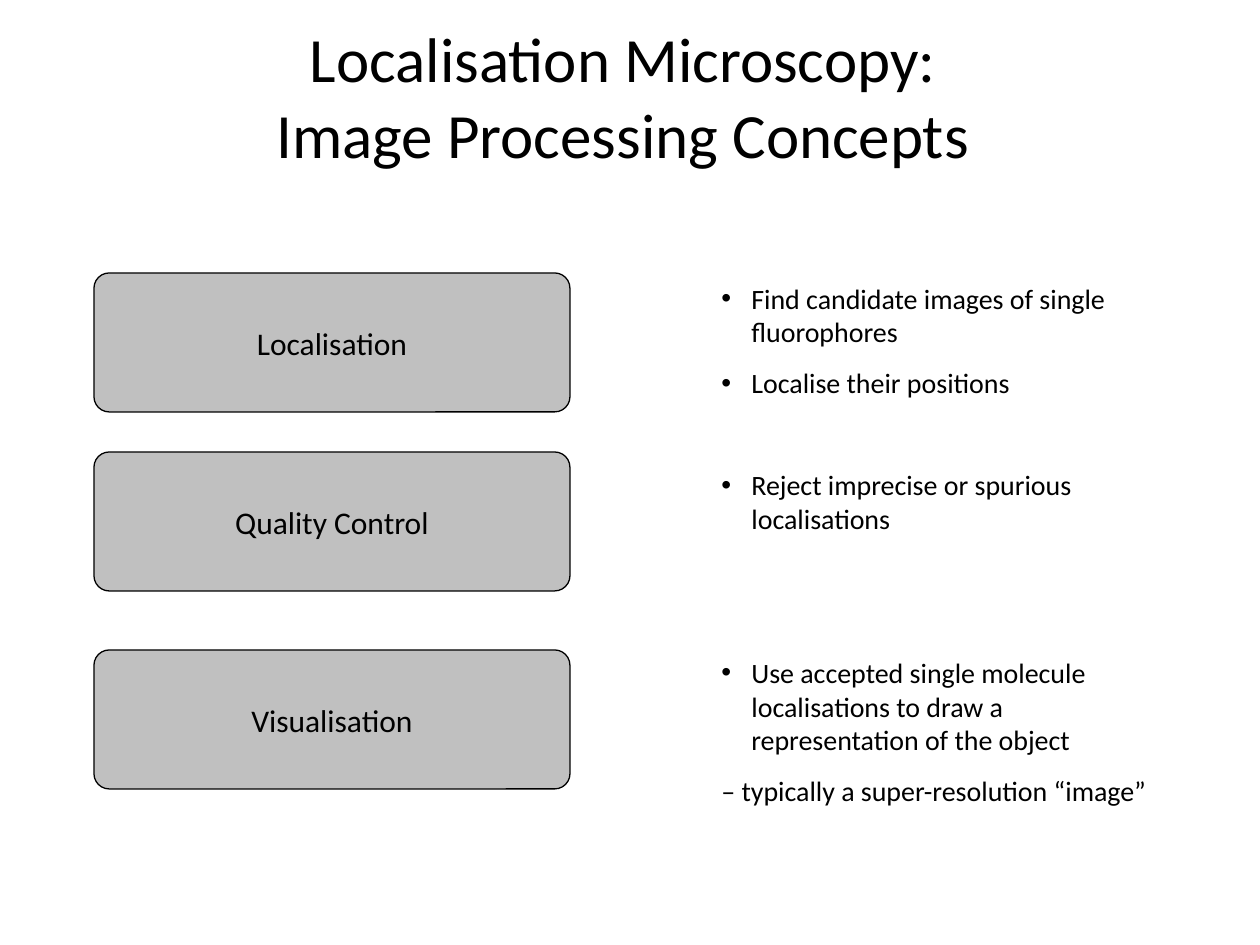
from pptx import Presentation
from pptx.dml.color import RGBColor
from pptx.enum.shapes import MSO_SHAPE as Shape
from pptx.enum.text import MSO_ANCHOR as Anchor, PP_ALIGN as Align
from pptx.oxml.ns import qn
from pptx.util import Pt
from lxml.etree import SubElement

EMU_PER_PX = 914400 / 126
BLACK = RGBColor(0, 0, 0)
GREY = RGBColor(0xC0, 0xC0, 0xC0)
FONT = "Calibri"
STAGES = [("Localisation", 273), ("Quality Control", 452), ("Visualisation", 650)]
NOTES = [
    ("Find candidate images of single fluorophores", 10, True),
    ("Localise their positions", 10, True),
    ("Reject imprecise or spurious localisations", 39, True),
    ("Use accepted single molecule localisations to draw a representation of the object", 69, True),
    ("– typically a super-resolution “image”", 10, False),
]


def px(length):
    """Turn a length in px into EMU."""
    return round(length * EMU_PER_PX)


def style(para, size, align=Align.LEFT):
    """Set the font and alignment of a paragraph."""
    para.alignment = align
    para.font.name = FONT
    para.font.size = Pt(size)
    para.font.color.rgb = BLACK


def add_bullet(para, indent):
    """Give a paragraph a round bullet with a hanging indent."""
    props = para._p.get_or_add_pPr()
    props.set("marL", str(px(indent)))
    props.set("indent", str(-px(indent)))
    SubElement(props, qn("a:buFont"), typeface="Arial")
    SubElement(props, qn("a:buChar"), char="•")


def add_title(page, left, top, width, height):
    """Place the two-line slide title, centred in its box."""
    box = page.shapes.add_textbox(px(left), px(top), px(width), px(height))
    frame = box.text_frame
    frame.word_wrap = True
    frame.vertical_anchor = Anchor.MIDDLE
    para = frame.paragraphs[0]
    para.text = "Localisation Microscopy: \vImage Processing Concepts "
    style(para, 36, Align.CENTER)


def add_stage(page, label, left, top, width, height):
    """Place one rounded box that names a processing stage."""
    box = page.shapes.add_shape(Shape.ROUNDED_RECTANGLE, px(left), px(top), px(width), px(height))
    box.adjustments[0] = 0.11
    box.shadow.inherit = False
    box.fill.solid()
    box.fill.fore_color.rgb = GREY
    box.line.color.rgb = BLACK
    box.line.width = Pt(0.75)
    frame = box.text_frame
    frame.word_wrap = False
    frame.vertical_anchor = Anchor.MIDDLE
    para = frame.paragraphs[0]
    para.text = label
    style(para, 18, Align.CENTER)


def add_notes(page, left, top, width, height):
    """Place the list that explains the stages."""
    box = page.shapes.add_textbox(px(left), px(top), px(width), px(height))
    frame = box.text_frame
    frame.word_wrap = True
    for index, (text, space, bulleted) in enumerate(NOTES):
        para = frame.add_paragraph() if index else frame.paragraphs[0]
        para.text = text
        style(para, 16)
        para.space_before = Pt(space)
        if bulleted:
            add_bullet(para, 30)


def main():
    """Build the slide and save it."""
    deck = Presentation()
    deck.slide_width, deck.slide_height = px(1260), px(945)
    page = deck.slides.add_slide(deck.slide_layouts[6])
    add_title(page, 63, 16, 1134, 158)
    for label, top in STAGES:
        add_stage(page, label, 94, top, 476, 139)
    add_notes(page, 709, 275, 476, 541)
    deck.save("out.pptx")


if __name__ == "__main__":
    main()
